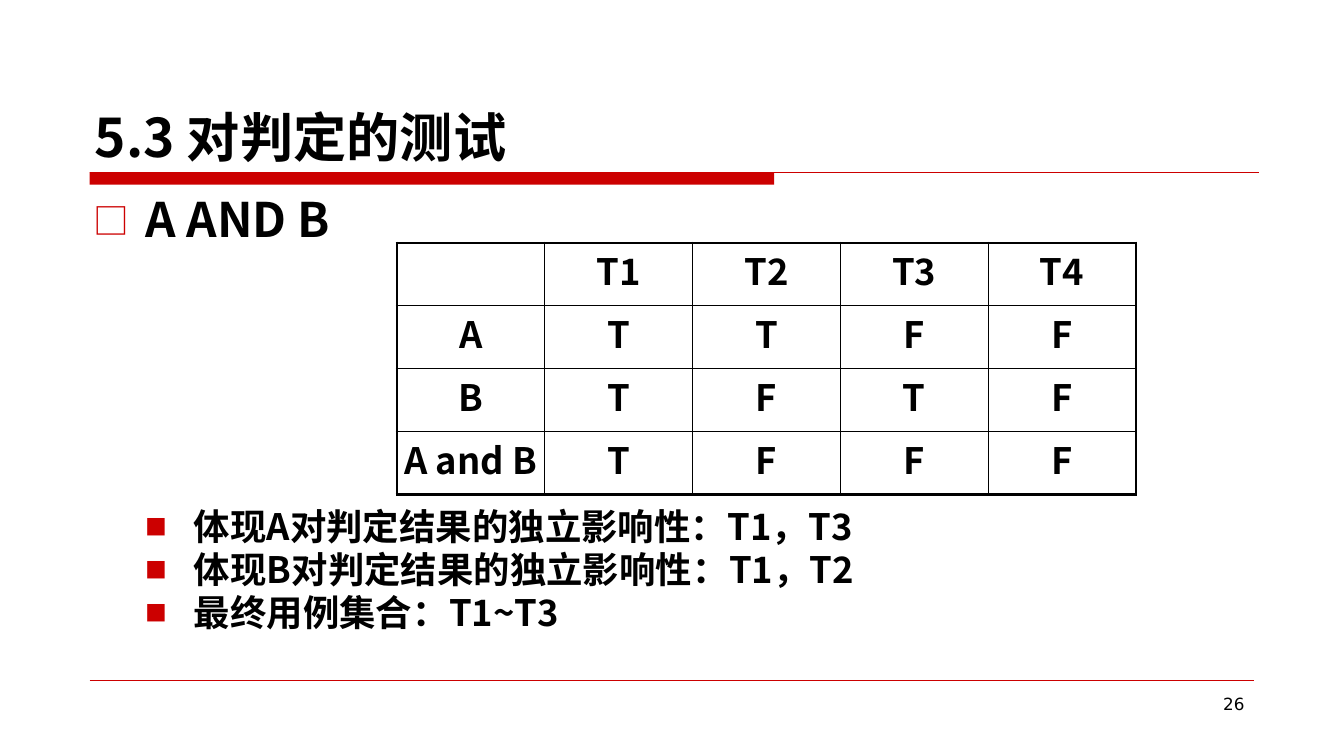
from lxml import etree
from pptx import Presentation
from pptx.dml.color import RGBColor
from pptx.enum.shapes import MSO_CONNECTOR, MSO_SHAPE
from pptx.enum.text import MSO_ANCHOR, PP_ALIGN
from pptx.oxml.ns import qn
from pptx.util import Pt

RED, BLACK, WHITE = "CC0000", "000000", "FFFFFF"
CJK_FONT, NUMBER_FONT = "Noto Sans CJK SC", "DejaVu Sans"
LEFT, CENTER, RIGHT = PP_ALIGN.LEFT, PP_ALIGN.CENTER, PP_ALIGN.RIGHT
THIN, THICK = 1, 2.25


def color(value):
    return RGBColor.from_string(value)


def write(frame, lines, size, font=CJK_FONT, bold=True, align=LEFT,
          bullet=None, bullet_scale=100, indent=0, hanging=0, spacing=1.0, before=0):
    """Fill a text frame with one paragraph per line, without insets."""
    frame.word_wrap = True
    frame.margin_left = frame.margin_right = frame.margin_top = frame.margin_bottom = 0
    for index, line in enumerate(lines):
        para = frame.add_paragraph() if index else frame.paragraphs[0]
        para.alignment = align
        para.line_spacing = spacing
        para.space_before = Pt(before if index else 0)
        if bullet:
            props = para._p.get_or_add_pPr()
            props.set("marL", str(Pt(indent)))
            props.set("indent", str(-Pt(hanging)))
            tint = etree.SubElement(props, qn("a:buClr"))
            etree.SubElement(tint, qn("a:srgbClr"), val=RED)
            etree.SubElement(props, qn("a:buSzPct"), val=str(bullet_scale * 1000))
            etree.SubElement(props, qn("a:buFont"), typeface=CJK_FONT)
            etree.SubElement(props, qn("a:buChar"), char=bullet)
        span = para.add_run()
        span.text = line
        span.font.name, span.font.size, span.font.bold = font, Pt(size), bold
        span.font.color.rgb = color(BLACK)
        east_asian = etree.SubElement(span.font._element, qn("a:ea"))
        east_asian.set("typeface", font)


deck = Presentation()
deck.slide_width, deck.slide_height = Pt(960), Pt(540)
page = deck.slides.add_slide(deck.slide_layouts[5])

# Title and rules
title = page.shapes.title
title.left, title.top, title.width, title.height = Pt(67.7), Pt(24), Pt(833), Pt(96)
title.text_frame.vertical_anchor = MSO_ANCHOR.BOTTOM
write(title.text_frame, ["5.3 对判定的测试"], 38)

bar = page.shapes.add_shape(MSO_SHAPE.RECTANGLE, Pt(64), Pt(123), Pt(489), Pt(9))
bar.shadow.inherit = False
bar.fill.solid()
bar.fill.fore_color.rgb = color(RED)
bar.line.fill.background()

for y, right, weight in [(123, 899.5, 0.75), (486, 896, 0.25)]:
    rule = page.shapes.add_connector(MSO_CONNECTOR.STRAIGHT, Pt(64), Pt(y), Pt(right), Pt(y))
    rule.line.color.rgb = color(RED)
    rule.line.width = Pt(weight)
    etree.SubElement(rule._element.spPr, qn("a:effectLst"))

# Heading and conclusions
heading = page.shapes.add_textbox(Pt(67), Pt(140.5), Pt(200), Pt(45))
write(heading.text_frame, ["A AND B"], 34, bullet="□", bullet_scale=75,
      indent=37, hanging=37, spacing=0.9)

conclusions = page.shapes.add_textbox(Pt(67), Pt(363.5), Pt(826), Pt(110))
write(conclusions.text_frame,
      ["体现A对判定结果的独立影响性：T1，T3",
       "体现B对判定结果的独立影响性：T1，T2",
       "最终用例集合：T1~T3"],
      26, bullet="■", bullet_scale=60, indent=71.5, hanging=34.5, spacing=0.9, before=2.6)

# Truth table
truth_rows = [
    ["", "T1", "T2", "T3", "T4"],
    ["A", "T", "T", "F", "F"],
    ["B", "T", "F", "T", "F"],
    ["A and B", "T", "F", "F", "F"],
]
row_count, column_count = len(truth_rows), len(truth_rows[0])
table = page.shapes.add_table(row_count, column_count,
                              Pt(283.5), Pt(173.5), Pt(528), Pt(180)).table
table.first_row = table.horz_banding = False
for r, values in enumerate(truth_rows):
    for c, value in enumerate(values):
        cell = table.cell(r, c)
        cell_props = cell._tc.get_or_add_tcPr()
        outer_sides = {"L": c == 0, "R": c == column_count - 1,
                       "T": r == 0, "B": r == row_count - 1}
        for side, outer in outer_sides.items():
            border = etree.SubElement(cell_props, qn(f"a:ln{side}"),
                                      w=str(Pt(THICK if outer else THIN)))
            paint = etree.SubElement(border, qn("a:solidFill"))
            etree.SubElement(paint, qn("a:srgbClr"), val=BLACK)
        cell.fill.solid()
        cell.fill.fore_color.rgb = color(WHITE)
        cell.margin_left = cell.margin_right = cell.margin_top = cell.margin_bottom = 0
        if value:
            write(cell.text_frame, [value], 26, align=CENTER)

# Page number
number = page.shapes.add_textbox(Pt(688), Pt(495.5), Pt(201), Pt(30))
write(number.text_frame, ["26"], 12, font=NUMBER_FONT, bold=False, align=RIGHT)

deck.save("out.pptx")
